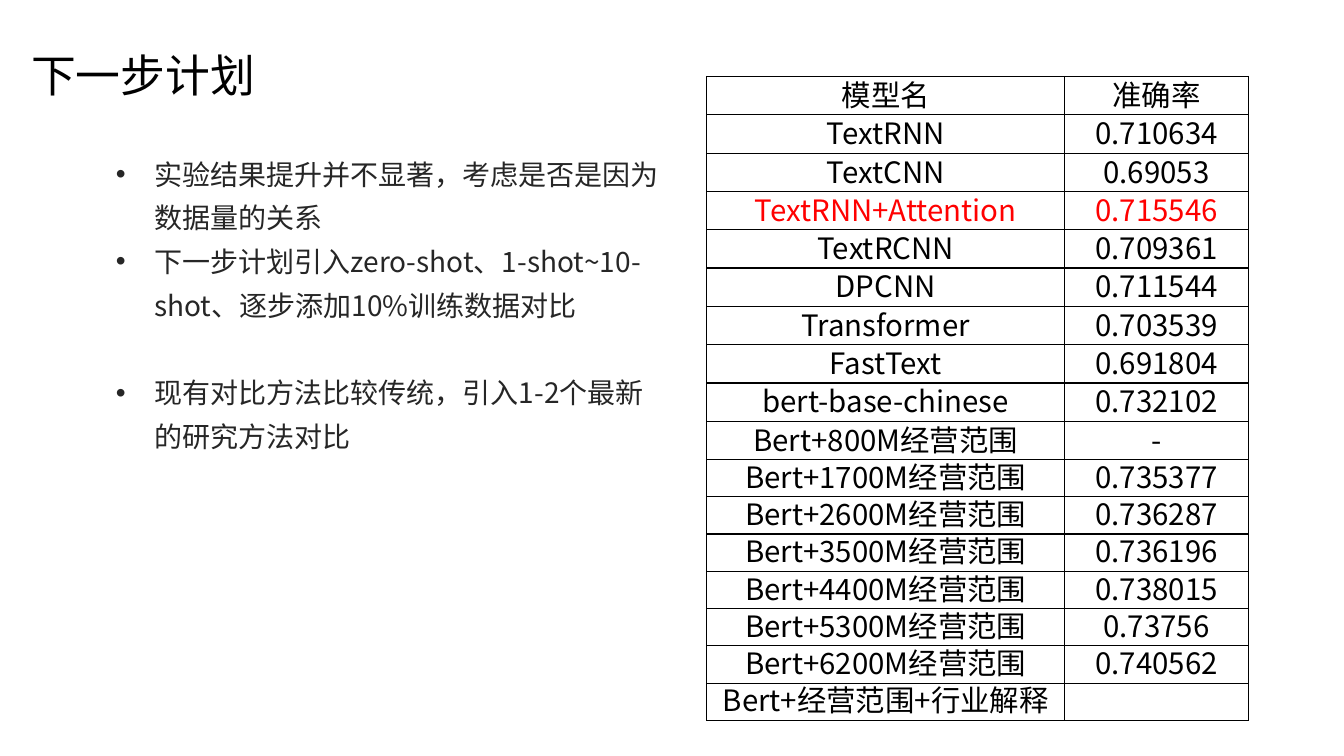
from dataclasses import dataclass

from lxml import etree
from pptx import Presentation
from pptx.dml.color import RGBColor
from pptx.enum.text import MSO_ANCHOR, PP_ALIGN
from pptx.oxml.ns import qn
from pptx.util import Inches, Pt


@dataclass(frozen=True)
class Theme:
    font: str = "Noto Sans CJK SC"
    black: str = "000000"
    body: str = "262626"
    red: str = "FF0000"
    white: str = "FFFFFF"
    title_size: float = 32
    body_size: float = 20
    table_size: float = 21


theme = Theme()


def write(paragraph, text, size, color, leading, align=PP_ALIGN.LEFT, bullet=False, before=0):
    """Put formatted text into a paragraph."""
    if bullet:
        properties = paragraph._p.get_or_add_pPr()
        properties.set("marL", str(Inches(0.38)))
        properties.set("indent", str(-Inches(0.38)))
        etree.SubElement(properties, qn("a:buFont"), typeface="Arial")
        etree.SubElement(properties, qn("a:buChar"), char="•")
    paragraph.alignment = align
    paragraph.line_spacing = Pt(leading)
    if before:
        paragraph.space_before = Pt(before)
    run = paragraph.add_run()
    run.text = text
    run.font.size = Pt(size)
    run.font.name = theme.font
    run.font.color.rgb = RGBColor.from_string(color)
    etree.SubElement(run._r.get_or_add_rPr(), qn("a:ea"), typeface=theme.font)


def outline(cell):
    """Draw a thin black line on every side of a cell."""
    properties = cell._tc.get_or_add_tcPr()
    for position, side in enumerate(("a:lnL", "a:lnR", "a:lnT", "a:lnB")):
        line = etree.Element(qn(side), w=str(Pt(1)))
        fill = etree.SubElement(line, qn("a:solidFill"))
        etree.SubElement(fill, qn("a:srgbClr"), val=theme.black)
        properties.insert(position, line)


prs = Presentation()
prs.slide_width, prs.slide_height = Inches(13.33), Inches(7.5)
slide = prs.slides.add_slide(prs.slide_layouts[6])

# Title
title = slide.shapes.add_textbox(Inches(0.21), Inches(0.37), Inches(5.26), Inches(0.64)).text_frame
title.word_wrap = True
write(title.paragraphs[0], "下一步计划", size=theme.title_size, color=theme.black, leading=42)

# Accuracy of each model
results = [
    ("模型名", "准确率"),
    ("TextRNN", "0.710634"),
    ("TextCNN", "0.69053"),
    ("TextRNN+Attention", "0.715546"),
    ("TextRCNN", "0.709361"),
    ("DPCNN", "0.711544"),
    ("Transformer", "0.703539"),
    ("FastText", "0.691804"),
    ("bert-base-chinese", "0.732102"),
    ("Bert+800M经营范围", "-"),
    ("Bert+1700M经营范围", "0.735377"),
    ("Bert+2600M经营范围", "0.736287"),
    ("Bert+3500M经营范围", "0.736196"),
    ("Bert+4400M经营范围", "0.738015"),
    ("Bert+5300M经营范围", "0.73756"),
    ("Bert+6200M经营范围", "0.740562"),
    ("Bert+经营范围+行业解释", ""),
]
highlighted = "TextRNN+Attention"
accuracy = slide.shapes.add_table(
    len(results), 2, Inches(7.01), Inches(0.76), Inches(5.37), Inches(6.39)
).table
accuracy.first_row = accuracy.horz_banding = False
accuracy.columns[0].width, accuracy.columns[1].width = Inches(3.55), Inches(1.82)

for row, result in enumerate(results):
    accuracy.rows[row].height = Inches(0.38 if row < 10 else 0.37)
    color = theme.red if result[0] == highlighted else theme.black
    for column, value in enumerate(result):
        cell = accuracy.cell(row, column)
        cell.fill.solid()
        cell.fill.fore_color.rgb = RGBColor.from_string(theme.white)
        cell.vertical_anchor = MSO_ANCHOR.BOTTOM
        cell.margin_left = cell.margin_right = cell.margin_top = Inches(0.02)
        cell.margin_bottom = 0
        outline(cell)
        write(cell.text_frame.paragraphs[0], value, size=theme.table_size, color=color,
              leading=25, align=PP_ALIGN.CENTER)

# Next steps, with a gap before the last one
steps = [
    ("实验结果提升并不显著，考虑是否是因为数据量的关系", 0),
    ("下一步计划引入zero-shot、1-shot~10-shot、逐步添加10%训练数据对比", 0),
    ("现有对比方法比较传统，引入1-2个最新的研究方法对比", 31.2),
]
plan = slide.shapes.add_textbox(Inches(1.05), Inches(1.41), Inches(5.61), Inches(3.12)).text_frame
plan.word_wrap = True
for number, (step, gap) in enumerate(steps):
    paragraph = plan.add_paragraph() if number else plan.paragraphs[0]
    write(paragraph, step, size=theme.body_size, color=theme.body, leading=31.2,
          bullet=True, before=gap)

prs.save("out.pptx")
